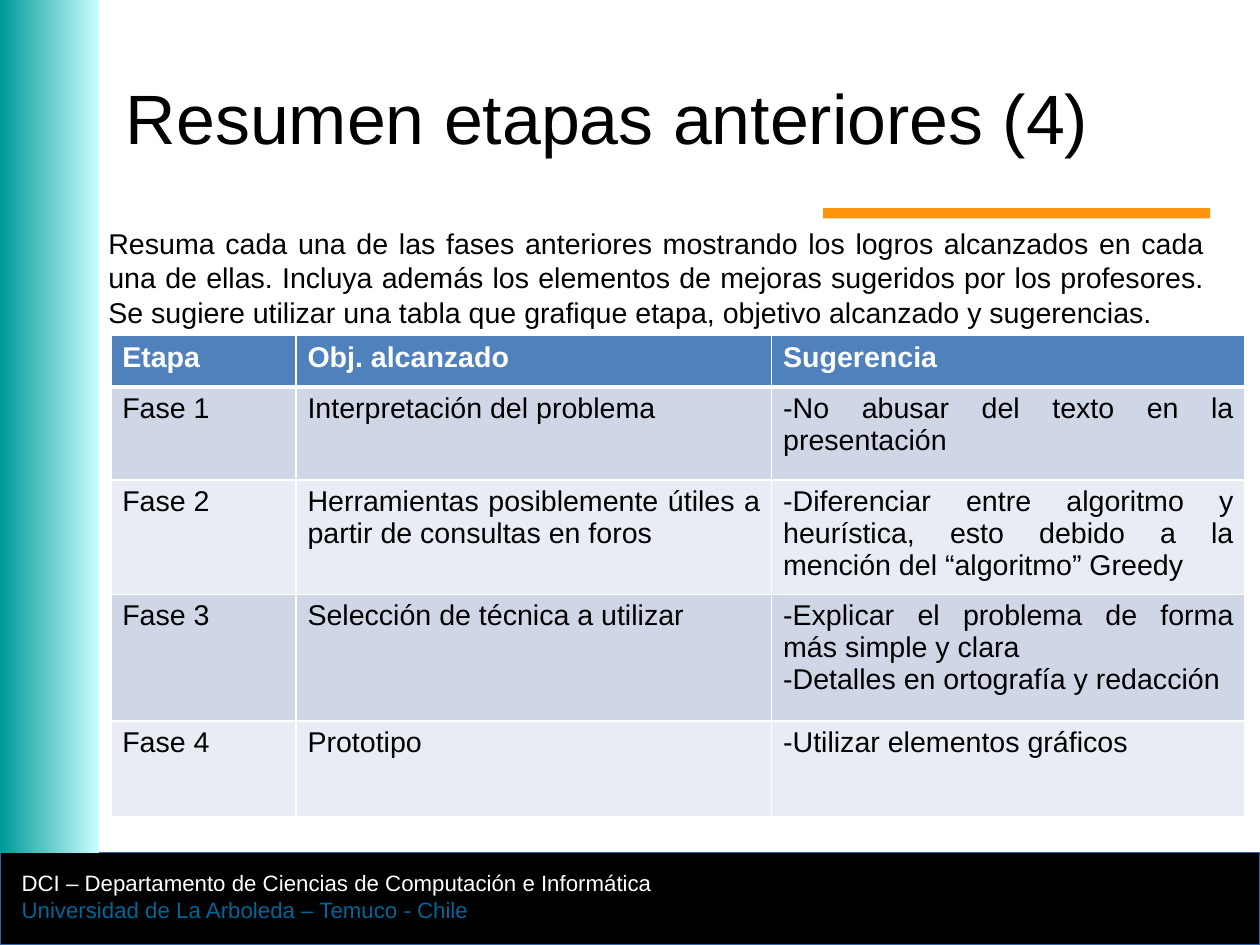
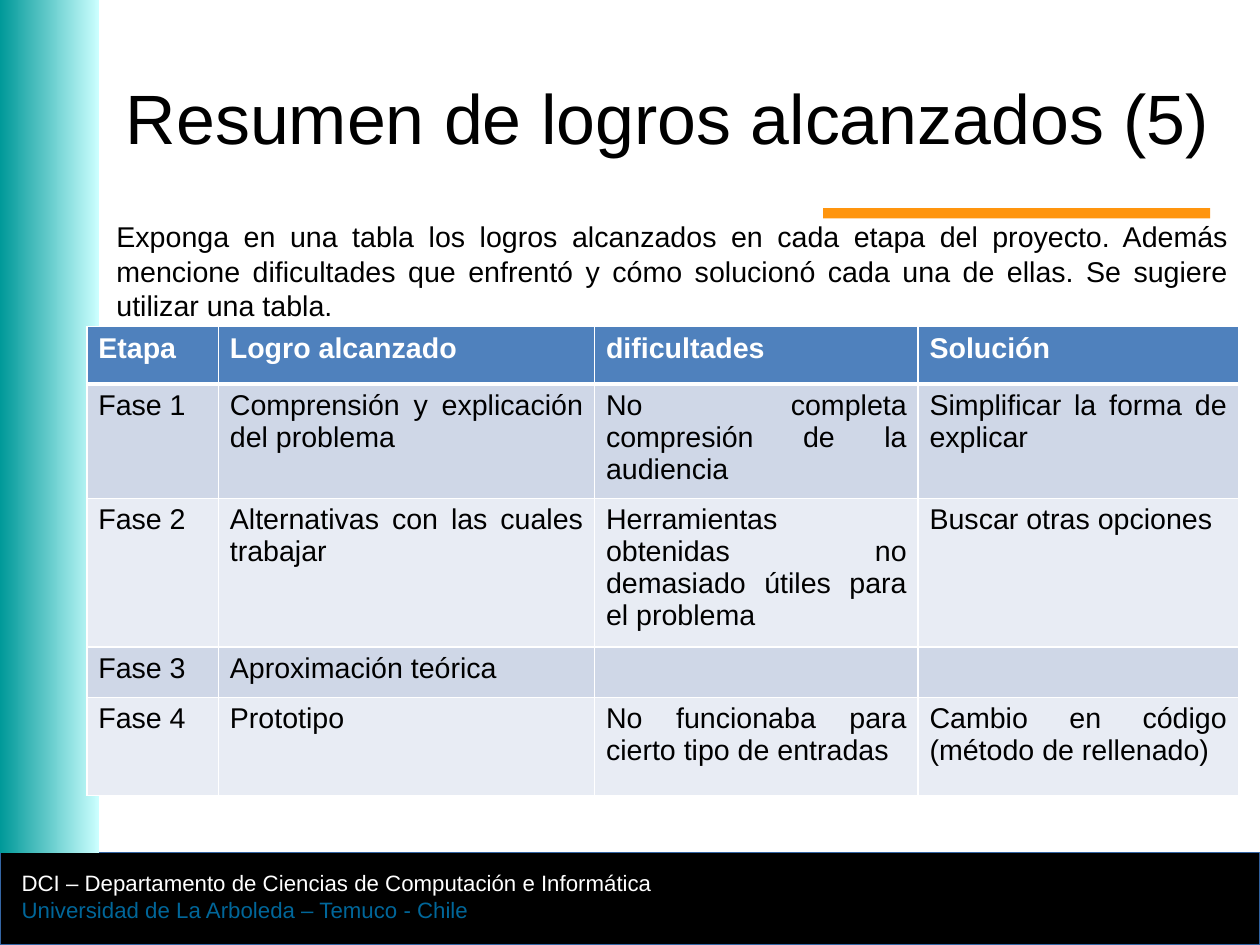
from lxml.etree import SubElement
from pptx import Presentation
from pptx.dml.color import RGBColor
from pptx.enum.shapes import MSO_SHAPE
from pptx.enum.text import MSO_ANCHOR, PP_ALIGN
from pptx.oxml.ns import qn
from pptx.util import Cm, Pt

BLACK = RGBColor(0x00, 0x00, 0x00)
WHITE = RGBColor(0xFF, 0xFF, 0xFF)
TEAL = RGBColor(0x00, 0x99, 0x99)
PALE_TEAL = RGBColor(0xCC, 0xFF, 0xFF)
ORANGE = RGBColor(0xFF, 0x95, 0x0E)
EDGE_BLUE = RGBColor(0x34, 0x65, 0xA4)
FOOTER_BLUE = RGBColor(0x00, 0x66, 0x99)
HEADER_BLUE = RGBColor(0x4F, 0x81, 0xBD)
ROW_FILLS = [RGBColor(0xE8, 0xEC, 0xF4), RGBColor(0xCF, 0xD7, 0xE7)]

FONT = "Arial"
FOOTER = [
    ("DCI – Departamento de Ciencias de Computación e Informática", WHITE),
    ("Universidad de La Arboleda – Temuco - Chile", FOOTER_BLUE),
]

SLIDES = [
    {
        "title": "Resumen etapas anteriores (4)",
        "intro": "Resuma cada una de las fases anteriores mostrando los logros alcanzados en cada una de ellas. "
                 "Incluya además los elementos de mejoras sugeridos por los profesores. "
                 "Se sugiere utilizar una tabla que grafique etapa, objetivo alcanzado y sugerencias.",
        "intro_box": (7.71, 23.34, 88.75, 17.78),
        "corner": (8.8, 35.5),
        "cols": [14.7, 37.75, 37.57],
        "rows": [5.44, 9.85, 11.85, 13.42, 10.16],
        "header_align": PP_ALIGN.JUSTIFY,
        "cells": [
            ["Etapa", "Obj. alcanzado", "Sugerencia"],
            ["Fase 1", "Interpretación del problema", "-No abusar del texto en la presentación"],
            ["Fase 2", "Herramientas posiblemente útiles a partir de consultas en foros",
             "-Diferenciar entre algoritmo y heurística, esto debido a la mención del “algoritmo” Greedy"],
            ["Fase 3", "Selección de técnica a utilizar",
             "-Explicar el problema de forma más simple y clara\n-Detalles en ortografía y redacción"],
            ["Fase 4", "Prototipo", "-Utilizar elementos gráficos"],
        ],
    },
    {
        "title": "Resumen de logros alcanzados (5)",
        "intro": "Exponga en una tabla los logros alcanzados en cada etapa del proyecto. "
                 "Además mencione dificultades que enfrentó y cómo solucionó cada una de ellas. "
                 "Se sugiere utilizar una tabla.",
        "intro_box": (8.35, 22.61, 90.02, 16.44),
        "corner": (6.9, 34.58),
        "cols": [10.44, 29.85, 25.68, 25.41],
        "rows": [6.05, 9.55, 9.07, 5.32, 10.4],
        "header_align": PP_ALIGN.LEFT,
        "cells": [
            ["Etapa", "Logro alcanzado", "dificultades", "Solución"],
            ["Fase 1", "Comprensión y explicación del problema",
             "No completa compresión de la audiencia", "Simplificar la forma de explicar"],
            ["Fase 2", "Alternativas con las cuales trabajar",
             "Herramientas obtenidas no demasiado útiles para el problema", "Buscar otras opciones"],
            ["Fase 3", "Aproximación teórica", "", ""],
            ["Fase 4", "Prototipo", "No funcionaba para cierto tipo de entradas",
             "Cambio en código (método de rellenado)"],
        ],
    },
]

prs = Presentation()
prs.slide_width, prs.slide_height = Cm(28), Cm(21)


def box(x, y, w, h):
    W, H = prs.slide_width, prs.slide_height
    return int(W * x / 100), int(H * y / 100), int(W * w / 100), int(H * h / 100)


def write(tf, lines, size, align=PP_ALIGN.LEFT, bold=False):
    tf.word_wrap = True
    for i, (text, color) in enumerate(lines):
        p = tf.add_paragraph() if i else tf.paragraphs[0]
        p.alignment = align
        r = p.add_run()
        r.text = text
        r.font.name = FONT
        r.font.size = Pt(size)
        r.font.bold = bold
        r.font.color.rgb = color


for data in SLIDES:
    s = prs.slides.add_slide(prs.slide_layouts[6])

    band, side, accent = [
        s.shapes.add_shape(MSO_SHAPE.RECTANGLE, *box(*area))
        for area in [(0, 90.25, 100, 9.7), (0, 0, 7.89, 90.25), (65.33, 22.03, 30.73, 1.07)]
    ]
    for sp in (band, side, accent):
        sp.shadow.inherit = False
        sp.line.fill.background()
    band.fill.solid()
    band.fill.fore_color.rgb = BLACK
    band.line.color.rgb = EDGE_BLUE
    band.line.width = Pt(0.75)
    side.fill.gradient()
    side.fill.gradient_angle = 0
    for stop, color in zip(side.fill.gradient_stops, (TEAL, PALE_TEAL)):
        stop.color.rgb = color
    accent.fill.solid()
    accent.fill.fore_color.rgb = ORANGE

    footer = s.shapes.add_textbox(*box(0.82, 91.41, 73.23, 7.13))
    write(footer.text_frame, FOOTER, 14)

    title = s.shapes.add_textbox(*box(10, 3.99, 90, 16.69))
    tf = title.text_frame
    tf.margin_left = tf.margin_right = tf.margin_top = tf.margin_bottom = 0
    tf.vertical_anchor = MSO_ANCHOR.MIDDLE
    write(tf, [(data["title"], BLACK)], 44)

    intro = s.shapes.add_textbox(*box(*data["intro_box"]))
    write(intro.text_frame, [(data["intro"], BLACK)], 18, PP_ALIGN.JUSTIFY)

    cols, rows = data["cols"], data["rows"]
    area = box(*data["corner"], sum(cols), sum(rows))
    table = s.shapes.add_table(len(rows), len(cols), *area).table
    for col, share in zip(table.columns, cols):
        col.width = int(prs.slide_width * share / 100)
    for row, share in zip(table.rows, rows):
        row.height = int(prs.slide_height * share / 100)

    for i, texts in enumerate(data["cells"]):
        head = i == 0
        for j, text in enumerate(texts):
            cell = table.cell(i, j)
            tcPr = cell._tc.get_or_add_tcPr()
            widths = {"a:lnL": 1, "a:lnR": 1, "a:lnT": 3 if i == 1 else 1, "a:lnB": 3 if head else 1}
            for tag, width in widths.items():
                ln = SubElement(tcPr, qn(tag), w=str(Pt(width)))
                fill = SubElement(ln, qn("a:solidFill"))
                SubElement(fill, qn("a:srgbClr"), val=str(WHITE))
            cell.fill.solid()
            cell.fill.fore_color.rgb = HEADER_BLUE if head else ROW_FILLS[i % 2]
            if text:
                lines = [(line, WHITE if head else BLACK) for line in text.split("\n")]
                align = data["header_align"] if head else PP_ALIGN.JUSTIFY
                write(cell.text_frame, lines, 18, align, head)

prs.save("out.pptx")
